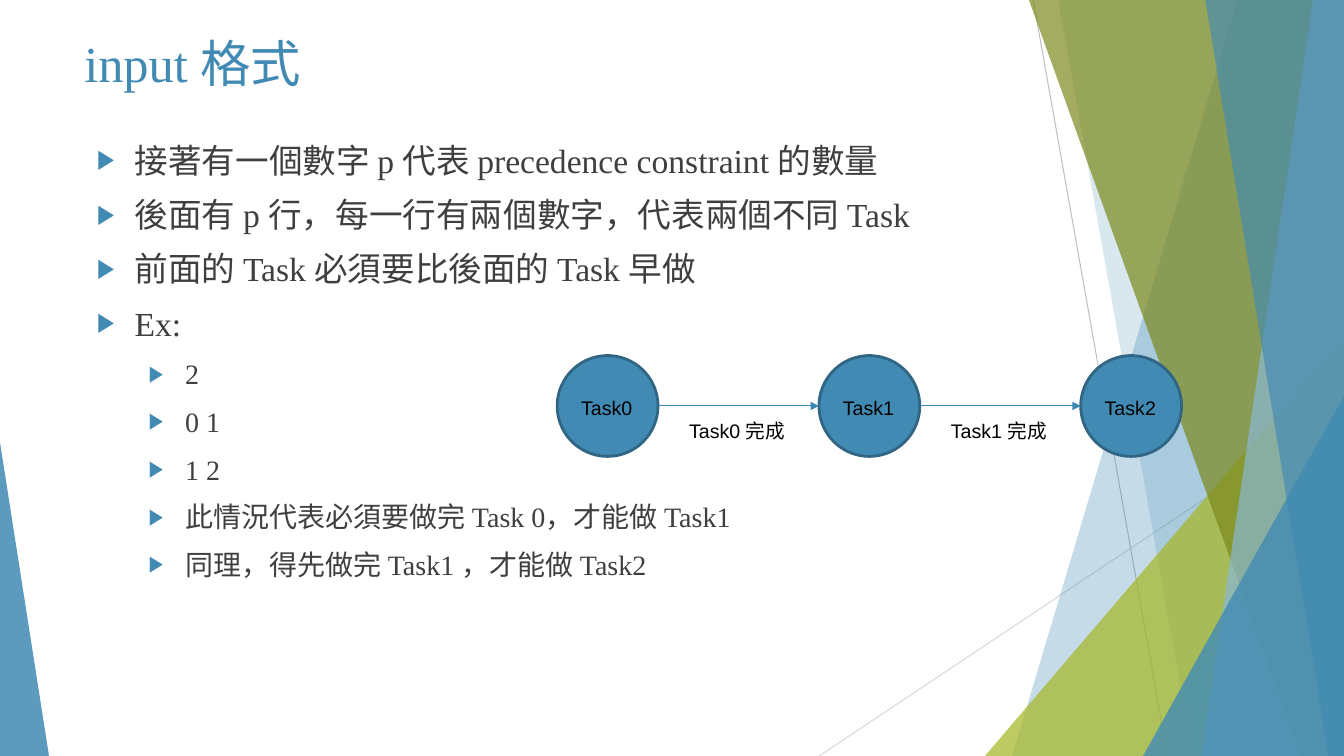
from lxml.etree import SubElement
from pptx import Presentation
from pptx.dml.color import RGBColor
from pptx.enum.shapes import MSO_CONNECTOR, MSO_SHAPE
from pptx.enum.text import MSO_ANCHOR, MSO_AUTO_SIZE, PP_ALIGN
from pptx.oxml.ns import qn
from pptx.util import Pt

BLUE = RGBColor(0x41, 0x8A, 0xB3)
LIGHT_BLUE = RGBColor(0x89, 0xB8, 0xD4)
DARK_BLUE = RGBColor(0x30, 0x66, 0x84)
ARROW_BLUE = RGBColor(0x3D, 0x88, 0xB2)
LIME = RGBColor(0xA6, 0xB7, 0x27)
OLIVE = RGBColor(0x7C, 0x89, 0x1D)
GRAY = RGBColor(0xBF, 0xBF, 0xBF)
PALE_GRAY = RGBColor(0xD8, 0xD8, 0xD8)
TEXT_GRAY = RGBColor(0x3F, 0x3F, 0x3F)
BLACK = RGBColor(0, 0, 0)
WIDTH, HEIGHT = 960, 540

deck = Presentation()
deck.slide_width, deck.slide_height = Pt(WIDTH), Pt(HEIGHT)
page = deck.slides.add_slide(deck.slide_layouts[1])
shapes = page.shapes


def draw_line(start, end, color, arrow=False):
    """Draw a thin straight line between two points, with an optional arrowhead."""
    line = shapes.add_connector(MSO_CONNECTOR.STRAIGHT, *map(Pt, start + end))
    line.line.color.rgb = color
    line.line.width = Pt(0.75)
    if arrow:
        SubElement(line.line._get_or_add_ln(), qn("a:tailEnd"), type="triangle")
    SubElement(line.element.spPr, qn("a:effectLst"))


def style_text(frame, font_name, size, color):
    """Give every run of a text frame the same font, size and colour."""
    for para in frame.paragraphs:
        for span in para.runs:
            span.font.name = font_name
            span.font.size = Pt(size)
            span.font.color.rgb = color


# Background decoration, back to front
draw_line((738, 0), (834, HEIGHT), GRAY)
draw_line((WIDTH, 290), (585, HEIGHT), PALE_GRAY)

# Ribbons: top-left x, bottom-left x. Wedges: left, top, width, height, apex
decorations = [
    ((884, 723), BLUE, 30),
    ((756, 852), BLUE, 20),
    ((703.5, 240, 256.5, 300, 1), LIME, 72),
    ((735, 929.5), OLIVE, 70),
    ((938, 858), LIGHT_BLUE, 70),
    ((861, 949), BLUE, 65),
    ((816.5, 283, 143.5, 257, 1), BLUE, 80),
    ((0, 316, 35, 224, 0), BLUE, 85),
]
for geometry, color, opacity in decorations:
    if len(geometry) == 2:
        top_x, bottom_x = geometry
        outline = shapes.build_freeform(Pt(top_x), 0)
        outline.add_line_segments(
            [(Pt(x), Pt(y)) for x, y in ((WIDTH, 0), (WIDTH, HEIGHT), (bottom_x, HEIGHT))]
        )
        panel = outline.convert_to_shape()
    else:
        panel = shapes.add_shape(MSO_SHAPE.ISOSCELES_TRIANGLE, *map(Pt, geometry[:4]))
        panel.adjustments[0] = geometry[4]
    panel.shadow.inherit = False
    panel.fill.solid()
    panel.fill.fore_color.rgb = color
    panel.line.fill.background()
    color_node = panel.element.spPr.find(qn("a:solidFill"))[0]
    SubElement(color_node, qn("a:alpha"), val=str(opacity * 1000))

# Title and list, brought in front of the decoration
title, body = shapes.title, page.placeholders[1]
for box, top, height in ((title, 19, 61), (body, 96, 390)):
    box.left, box.top, box.width, box.height = Pt(53), Pt(top), Pt(797), Pt(height)
    box.text_frame.vertical_anchor = MSO_ANCHOR.TOP
    box.text_frame.auto_size = MSO_AUTO_SIZE.NONE
    box.element.getparent().append(box.element)

title.text_frame.text = "input 格式"
title.text_frame.paragraphs[0].alignment = PP_ALIGN.LEFT
style_text(title.text_frame, "Times New Roman", 36, BLUE)

bullets = [
    (0, "接著有一個數字 p 代表 precedence constraint 的數量"),
    (0, "後面有 p 行，每一行有兩個數字，代表兩個不同 Task"),
    (0, "前面的 Task 必須要比後面的 Task 早做"),
    (0, "Ex:"),
    (1, "2"),
    (1, "0 1"),
    (1, "1 2"),
    (1, "此情況代表必須要做完 Task 0，才能做 Task1"),
    (1, "同理，得先做完 Task1 ，才能做 Task2"),
]
body.text_frame.text = "\n".join(text for level, text in bullets)
style_text(body.text_frame, "Times New Roman", 24, TEXT_GRAY)
for para, (level, text) in zip(body.text_frame.paragraphs, bullets):
    para.level = level
    para.space_before = Pt(10)
    para.runs[0].font.size = Pt((24, 20)[level])
    properties = para._p.get_or_add_pPr()
    properties.set("marL", str(Pt((36, 72)[level])))
    properties.set("indent", str(Pt((-27, -26)[level])))
    bullet_color = SubElement(properties, qn("a:buClr"))
    SubElement(bullet_color, qn("a:srgbClr"), val=str(BLUE))
    SubElement(properties, qn("a:buSzPct"), val="80000")
    SubElement(properties, qn("a:buChar"), char="▶")

# Task chain
NODE_LEFT, NODE_TOP, NODE_SIZE, NODE_STEP = 398, 254, 72, 187
node_lefts = [NODE_LEFT + index * NODE_STEP for index in range(3)]
for left in node_lefts:
    node = shapes.add_shape(
        MSO_SHAPE.OVAL, Pt(left), Pt(NODE_TOP), Pt(NODE_SIZE), Pt(NODE_SIZE)
    )
    node.shadow.inherit = False
    node.fill.solid()
    node.fill.fore_color.rgb = BLUE
    node.line.color.rgb = DARK_BLUE
    node.line.width = Pt(2)

middle = NODE_TOP + NODE_SIZE / 2
for left, next_left in zip(node_lefts, node_lefts[1:]):
    draw_line((left + NODE_SIZE, middle), (next_left, middle), ARROW_BLUE, arrow=True)

labels = [(f"Task{i}", left + 10, 279, 52.5, False) for i, left in enumerate(node_lefts)]
labels += [
    (f" Task{i} 完成", left + 83.5, 296, 92, True) for i, left in enumerate(node_lefts[:2])
]
for text, left, top, width, wraps in labels:
    label = shapes.add_textbox(Pt(left), Pt(top), Pt(width), Pt(24.5))
    label.text_frame.text = text
    label.text_frame.word_wrap = wraps
    label.text_frame.auto_size = MSO_AUTO_SIZE.SHAPE_TO_FIT_TEXT
    style_text(label.text_frame, "Arial", 14, BLACK)

deck.save("out.pptx")
